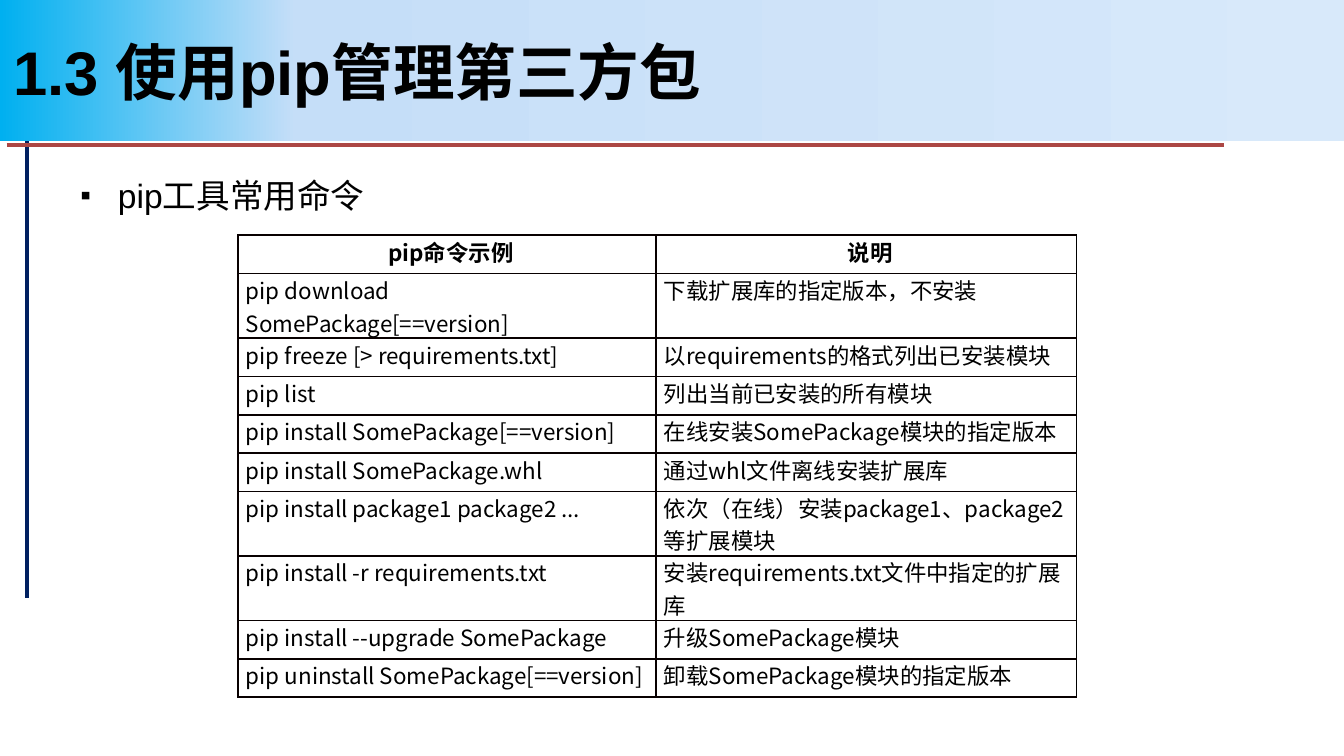
from dataclasses import dataclass

from lxml.etree import SubElement
from pptx import Presentation
from pptx.dml.color import RGBColor
from pptx.enum.shapes import MSO_CONNECTOR, MSO_SHAPE
from pptx.enum.text import MSO_ANCHOR, PP_ALIGN
from pptx.oxml import parse_xml
from pptx.oxml.ns import nsdecls, qn
from pptx.util import Inches, Pt

COLORS = {
    "text": "000000",
    "navy": "002060",
    "red": "AC4744",
    "border": "080000",
    "edge": "000000",
}
BANNER_STOPS = {0: "00B0F0", 22: "C5DEF8", 100: "D8E9FA"}
LATIN_FONT = "Arial"
CHINESE_FONT = "Noto Sans CJK SC"
TABLE_HEIGHT = 3.44
TALL_ROW = 0.48


@dataclass(frozen=True)
class Rule:
    start: tuple[float, float]
    end: tuple[float, float]
    color: str


@dataclass(frozen=True)
class Command:
    example: str
    meaning: str
    is_tall: bool = False


RULES = [
    Rule((0.2, 0.81), (0.2, 4.45), "navy"),
    Rule((0.05, 1.08), (9.11, 1.08), "red"),
]
COMMANDS = [
    Command("pip命令示例", "说明"),
    Command("pip download SomePackage[==version]", "下载扩展库的指定版本，不安装", True),
    Command("pip freeze [> requirements.txt]", "以requirements的格式列出已安装模块"),
    Command("pip list", "列出当前已安装的所有模块"),
    Command("pip install SomePackage[==version]", "在线安装SomePackage模块的指定版本"),
    Command("pip install SomePackage.whl", "通过whl文件离线安装扩展库"),
    Command("pip install package1 package2 ...", "依次（在线）安装package1、package2等扩展模块", True),
    Command("pip install -r requirements.txt", "安装requirements.txt文件中指定的扩展库", True),
    Command("pip install --upgrade SomePackage", "升级SomePackage模块"),
    Command("pip uninstall SomePackage[==version]", "卸载SomePackage模块的指定版本"),
]


def add_run(paragraph, text: str, size: float, font: str, bold: bool = False) -> None:
    run = paragraph.add_run()
    run.text = text
    run.font.size = Pt(size)
    run.font.bold = bold
    run.font.name = font
    run.font.color.rgb = RGBColor.from_string(COLORS["text"])
    SubElement(run.font._element, qn("a:ea"), typeface=CHINESE_FONT)


def add_rule(slide, rule: Rule) -> None:
    points = [Inches(value) for value in (*rule.start, *rule.end)]
    connector = slide.shapes.add_connector(MSO_CONNECTOR.STRAIGHT, *points)
    connector.line.color.rgb = RGBColor.from_string(COLORS[rule.color])
    connector.line.width = Pt(2.25)
    SubElement(connector._element.spPr, qn("a:effectLst"))


def add_banner(slide) -> None:
    shape = slide.shapes.add_shape(
        MSO_SHAPE.RECTANGLE, Inches(0), Inches(0), Inches(10), Inches(1.05)
    )
    shape.shadow.inherit = False
    shape.line.fill.background()
    shape.fill.gradient()
    shape.fill.gradient_angle = 0
    stops = shape._element.spPr.find(qn("a:gradFill")).find(qn("a:gsLst"))
    stops.clear()
    for position, color in BANNER_STOPS.items():
        stop = SubElement(stops, qn("a:gs"), pos=str(position * 1000))
        SubElement(stop, qn("a:srgbClr"), val=color)
    frame = shape.text_frame
    frame.word_wrap = True
    frame.vertical_anchor = MSO_ANCHOR.MIDDLE
    paragraph = frame.paragraphs[0]
    paragraph.alignment = PP_ALIGN.LEFT
    add_run(paragraph, "1.3 使用pip管理第三方包", 33, LATIN_FONT, True)


def add_bullet_text(slide) -> None:
    shape = slide.shapes.add_textbox(Inches(0.5), Inches(1.31), Inches(9), Inches(3.71))
    shape.text_frame.word_wrap = True
    paragraph = shape.text_frame.paragraphs[0]
    paragraph.line_spacing = 0.8
    paragraph.space_before = Pt(2.7)
    properties = paragraph._element.get_or_add_pPr()
    properties.set("marL", str(Inches(0.28)))
    properties.set("indent", str(-Inches(0.28)))
    SubElement(properties, qn("a:buSzPct"), val="90000")
    SubElement(properties, qn("a:buFont"), typeface=LATIN_FONT)
    SubElement(properties, qn("a:buChar"), char="▪")
    add_run(paragraph, "pip工具常用命令", 18, LATIN_FONT)


def set_borders(cell, is_last_column: bool) -> None:
    properties = cell._tc.get_or_add_tcPr()
    for index, side in enumerate("LRTB"):
        is_edge = is_last_column and side == "R"
        color = COLORS["edge" if is_edge else "border"]
        width = Pt(0.75 if is_edge else 1)
        border = parse_xml(
            f'<a:ln{side} {nsdecls("a")} w="{width}"><a:solidFill>'
            f'<a:srgbClr val="{color}"/></a:solidFill></a:ln{side}>'
        )
        properties.insert(index, border)


def fill_cell(cell, text: str, is_header: bool, is_last_column: bool) -> None:
    cell.margin_left = Inches(0.06)
    cell.margin_right = cell.margin_top = cell.margin_bottom = Inches(0)
    cell.fill.background()
    set_borders(cell, is_last_column)
    paragraph = cell.text_frame.paragraphs[0]
    paragraph.alignment = PP_ALIGN.CENTER if is_header else PP_ALIGN.LEFT
    add_run(paragraph, text, 12, CHINESE_FONT, is_header)


def add_command_table(slide) -> None:
    table = slide.shapes.add_table(
        len(COMMANDS), 2, Inches(1.77), Inches(1.75), Inches(6.24), Inches(TABLE_HEIGHT)
    ).table
    table.first_row = table.horz_banding = False
    for column, width in zip(table.columns, (3.11, 3.13)):
        column.width = Inches(width)
    tall_count = sum(command.is_tall for command in COMMANDS)
    short_row = (TABLE_HEIGHT - tall_count * TALL_ROW) / (len(COMMANDS) - tall_count)
    for row_index, command in enumerate(COMMANDS):
        table.rows[row_index].height = Inches(TALL_ROW if command.is_tall else short_row)
        for column_index, text in enumerate((command.example, command.meaning)):
            cell = table.cell(row_index, column_index)
            fill_cell(cell, text, row_index == 0, column_index == 1)


def main() -> None:
    """Build the slide on common pip commands."""
    presentation = Presentation()
    presentation.slide_width = Inches(10)
    presentation.slide_height = Inches(10 * 9 / 16)
    slide = presentation.slides.add_slide(presentation.slide_layouts[6])
    for rule in RULES:
        add_rule(slide, rule)
    add_banner(slide)
    add_bullet_text(slide)
    add_command_table(slide)
    presentation.save("out.pptx")


if __name__ == "__main__":
    main()
